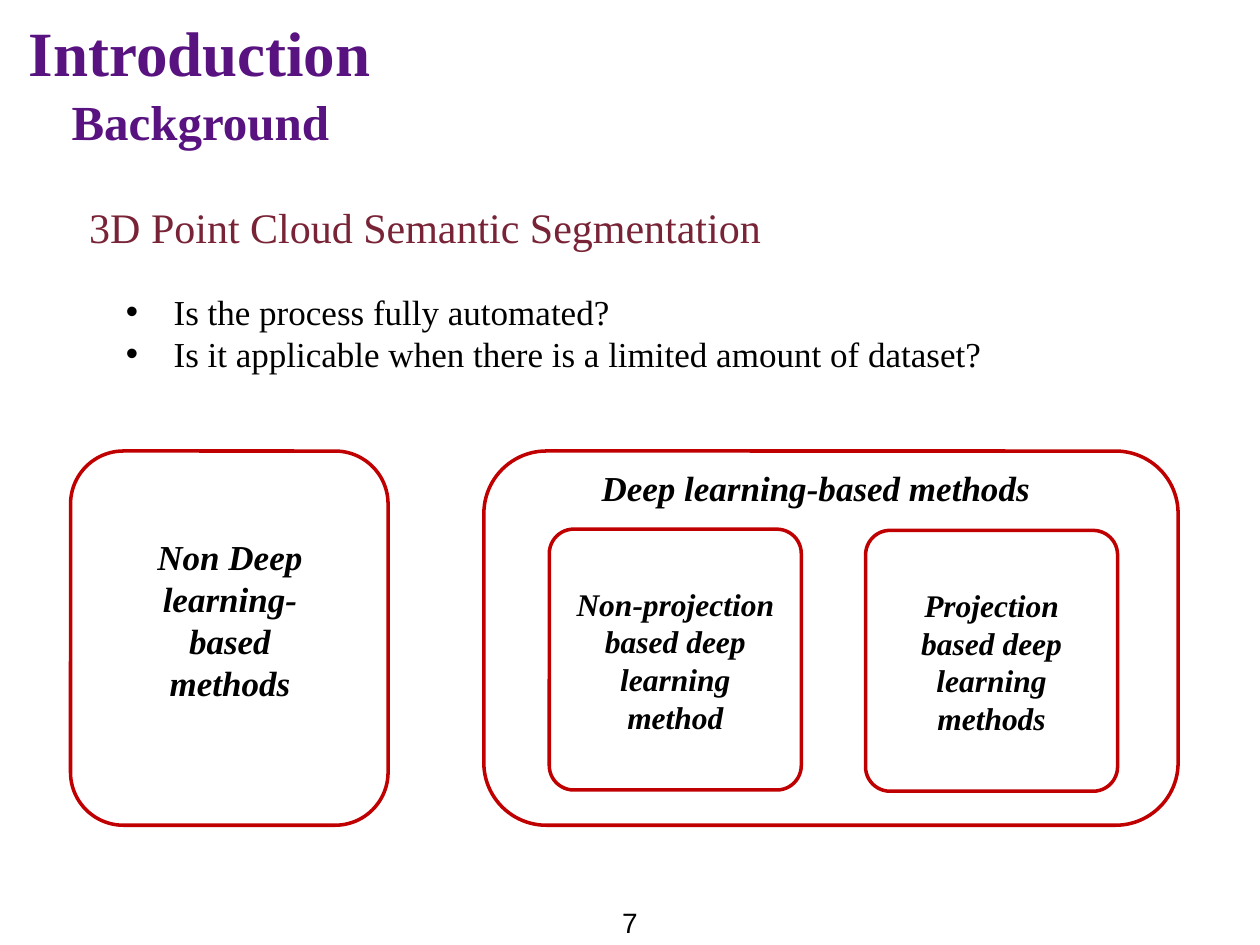
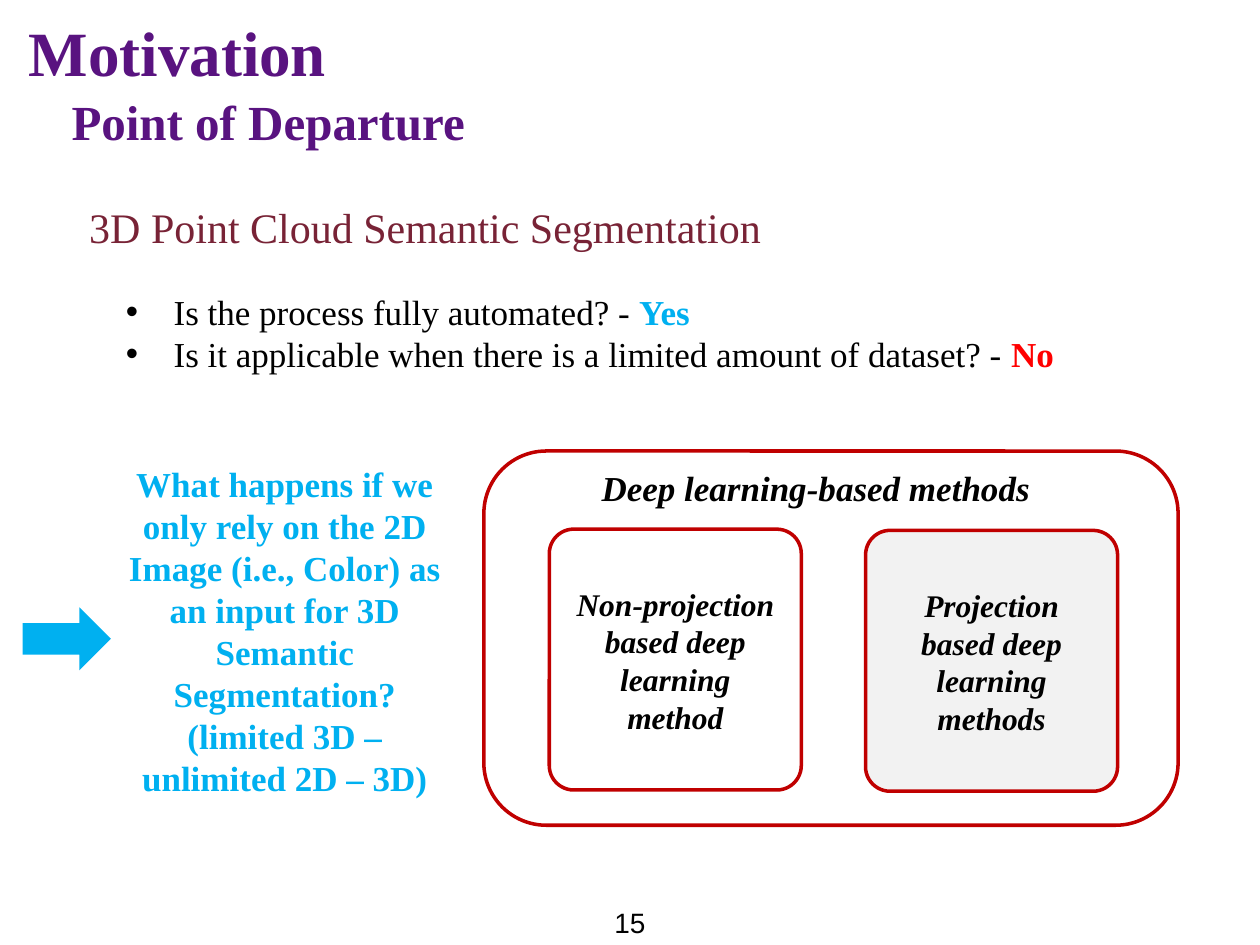
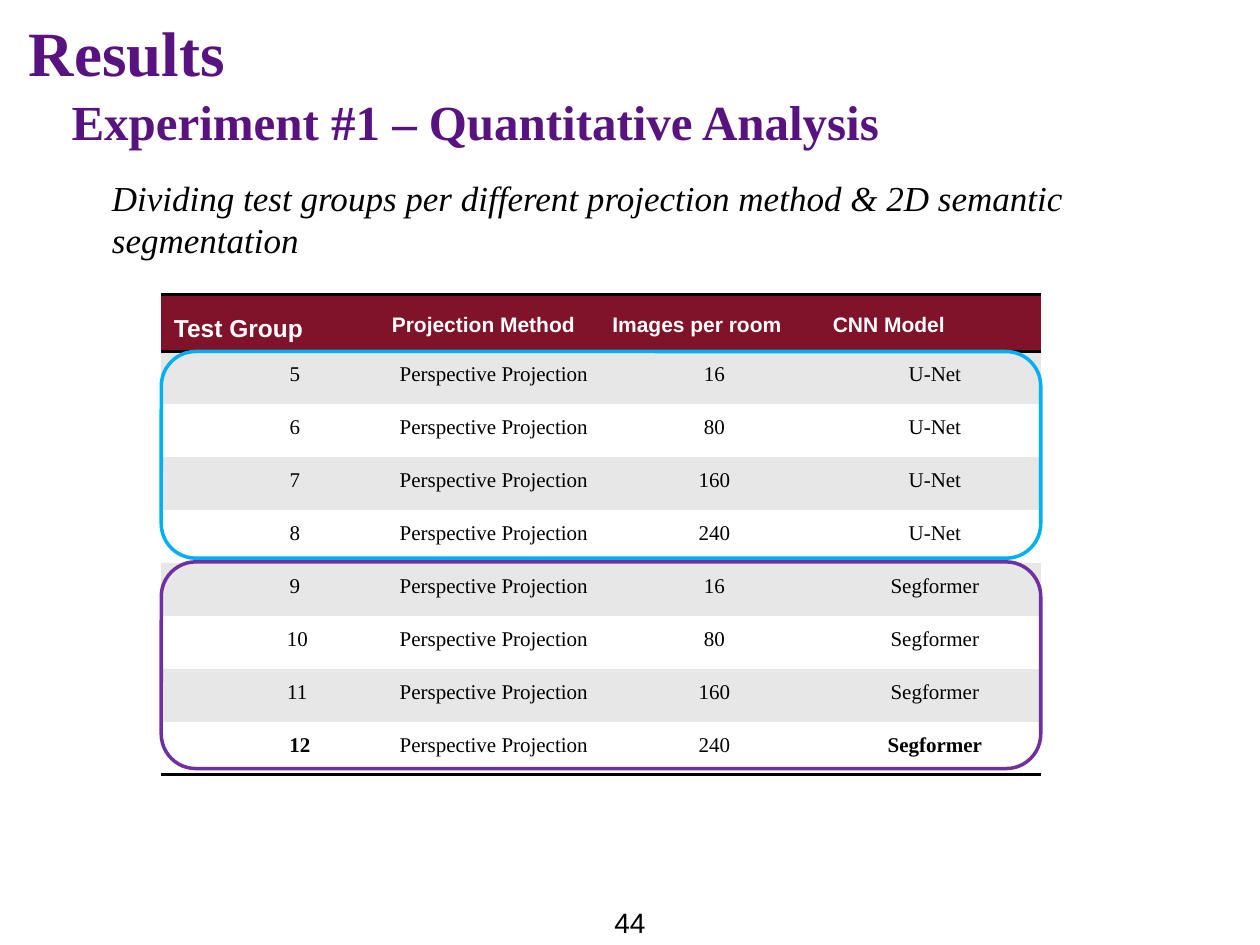
from lxml.etree import SubElement
from pptx import Presentation
from pptx.dml.color import RGBColor
from pptx.enum.shapes import MSO_SHAPE
from pptx.enum.text import PP_ALIGN
from pptx.oxml.ns import qn
from pptx.util import Inches, Pt

COLORS = {
    "purple": "591380", "maroon": "782336", "black": "000000", "white": "FFFFFF",
    "box": "C00000", "shade": "F2F2F2", "blue": "00B0F0", "red": "FF0000",
    "violet": "7030A0", "header": "801329", "band": "E7E7E7",
}
SERIF, SANS = "Times New Roman", "Arial"
CENTER, JUSTIFY = PP_ALIGN.CENTER, PP_ALIGN.JUSTIFY

TOPIC = "3D Point Cloud Semantic Segmentation"
QUESTIONS = ["Is the process fully automated?",
             "Is it applicable when there is a limited amount of dataset?"]
ANSWERS = [("Yes", "blue"), ("No", "red")]
IDEA = ["What happens if we only rely on the 2D Image (i.e., Color) as an input "
        "for 3D Semantic Segmentation?",
        "(limited 3D – unlimited 2D – 3D)"]

HEADERS = ["Test Group", "Projection Method", "Images per room", "CNN Model"]
METHOD = "Perspective Projection"
IMAGES_PER_ROOM = [16, 80, 160, 240]
MODELS = [("U-Net", "blue"), ("Segformer", "violet")]
FIRST_GROUP, BEST_GROUP = 5, 12
COL_WIDTHS = [1.73, 1.75, 1.75, 1.75]
TABLE_LEFT, TABLE_TOP = 1.28, 2.34
HEADER_H, ROW_H = 0.43, 0.42


def rgb(name):
    return RGBColor.from_string(COLORS[name])


def style(font, size, color="black", bold=False, italic=False, name=SERIF):
    font.size, font.name = Pt(size), name
    font.bold, font.italic = bold, italic
    font.color.rgb = rgb(color)


def add_text(s, box, paragraphs, size, align=None, bullet=False, **look):
    """Each paragraph is a string or a list of (text, style changes) runs."""
    tf = s.shapes.add_textbox(*map(Inches, box)).text_frame
    tf.word_wrap = True
    for i, runs in enumerate(paragraphs):
        p = tf.paragraphs[0] if i == 0 else tf.add_paragraph()
        p.alignment = align
        if bullet:
            add_bullet(p)
        for text, changes in [(runs, {})] if isinstance(runs, str) else runs:
            r = p.add_run()
            r.text = text
            style(r.font, size, **{**look, **changes})


def add_bullet(p, indent=0.38):
    pPr = p._p.get_or_add_pPr()
    pPr.set("marL", str(Inches(indent)))
    pPr.set("indent", str(-Inches(indent)))
    color = SubElement(pPr, qn("a:buClr"))
    SubElement(color, qn("a:srgbClr"), val=COLORS["black"])
    SubElement(pPr, qn("a:buFont"), typeface=SANS)
    SubElement(pPr, qn("a:buChar"), char="•")


def add_box(s, box, line="box", fill=None, round_by=0.167):
    sp = s.shapes.add_shape(MSO_SHAPE.ROUNDED_RECTANGLE, *map(Inches, box))
    sp.shadow.inherit = False
    sp.adjustments[0] = round_by
    sp.line.color.rgb = rgb(line)
    sp.line.width = Pt(2)
    if fill:
        sp.fill.solid()
        sp.fill.fore_color.rgb = rgb(fill)
    else:
        sp.fill.background()


def add_slide(prs, title, subtitle, number):
    s = prs.slides.add_slide(prs.slide_layouts[6])
    add_text(s, (0.13, 0.06, 8.74, 0.58), [title], 36, color="purple", bold=True)
    add_text(s, (0.47, 0.68, 8.74, 0.58), [subtitle], 28, color="purple", bold=True)
    add_text(s, (4.37, 7.14, 1.26, 0.36), [str(number)], 16, CENTER, name=SANS)
    return s


def add_topic(s, questions):
    add_text(s, (0.61, 1.55, 9.13, 0.5), [TOPIC], 24, JUSTIFY, color="maroon")
    add_text(s, (0.9, 2.26, 7.97, 0.76), questions, 20, bullet=True)


def add_deep_learning(s, projection_fill=None):
    label = dict(align=CENTER, bold=True, italic=True)
    add_box(s, (3.84, 3.58, 5.51, 2.97))
    add_text(s, (3.84, 3.65, 5.27, 0.56), ["Deep learning-based methods"], 20, **label)
    for left, top, text, fill in [
            (4.36, 4.2, "Non-projection based deep learning method", None),
            (6.87, 4.21, "Projection based deep learning methods", projection_fill)]:
        add_box(s, (left, top, 2, 2.07), fill=fill, round_by=0.097)
        add_text(s, (left + 0.09, top + 0.39, 1.82, 0.92), [text], 18, **label)


def add_border(cell, side):
    ln = SubElement(cell._tc.get_or_add_tcPr(), qn(f"a:{side}"), w=str(Pt(2)))
    fill = SubElement(ln, qn("a:solidFill"))
    SubElement(fill, qn("a:srgbClr"), val=COLORS["black"])


def set_cell(cell, text, fill, size, borders=(), align=None, indent=0, **look):
    for side in borders:
        add_border(cell, side)
    cell.fill.solid()
    cell.fill.fore_color.rgb = rgb(fill)
    p = cell.text_frame.paragraphs[0]
    p.text = str(text)
    p.alignment, p.line_spacing = align, 1.5
    p._p.get_or_add_pPr().set("marL", str(Inches(indent)))
    style(p.runs[0].font, size, **look)


def group_indent(group):
    if group == BEST_GROUP:
        return 0.47
    return 0.39 if group < 10 else 0.43


def add_test_groups(s):
    rows = [(METHOD, n, model) for model, _ in MODELS for n in IMAGES_PER_ROOM]
    height = HEADER_H + ROW_H * len(rows)
    table = s.shapes.add_table(
        len(rows) + 1, len(HEADERS), Inches(TABLE_LEFT), Inches(TABLE_TOP),
        Inches(sum(COL_WIDTHS)), Inches(height)).table
    no_style = "{2D5ABB26-0587-4C30-8999-92F81FD0307C}"
    table._tbl.tblPr.find(qn("a:tableStyleId")).text = no_style
    table.first_row = table.horz_banding = False
    for c, (width, text) in enumerate(zip(COL_WIDTHS, HEADERS)):
        table.columns[c].width = Inches(width)
        set_cell(table.cell(0, c), text, "header", 12 if c else 14,
                 ("lnT", "lnB"), color="white", bold=True, name=SANS)
    table.rows[0].height = Inches(HEADER_H)
    for r, row in enumerate(rows, 1):
        table.rows[r].height = Inches(ROW_H)
        group = FIRST_GROUP + r - 1
        for c, value in enumerate((group, *row)):
            cell = table.cell(r, c)
            cell.margin_left = cell.margin_right = 0
            cell.margin_top = cell.margin_bottom = 0
            set_cell(cell, value, "band" if r % 2 else "white", 12,
                     ("lnB",) if r == len(rows) else (), CENTER,
                     0.07 if c else group_indent(group),
                     bold=group == BEST_GROUP and c in (0, 3))
    for i, (_, color) in enumerate(MODELS):
        add_box(s, (TABLE_LEFT, 2.79 + 1.67 * i, sum(COL_WIDTHS), 1.64), color)


def background_slide(prs):
    s = add_slide(prs, "Introduction", "Background", 7)
    add_topic(s, QUESTIONS)
    add_box(s, (0.56, 3.58, 2.52, 2.97))
    add_text(s, (0.9, 4.2, 1.85, 1.73), ["Non Deep learning-based methods"], 20,
             CENTER, bold=True, italic=True)
    add_deep_learning(s)


def departure_slide(prs):
    s = add_slide(prs, "Motivation", "Point of Departure", 15)
    add_topic(s, [[(f"{question} - ", {}), (answer, dict(color=color, bold=True))]
                  for question, (answer, color) in zip(QUESTIONS, ANSWERS)])
    add_deep_learning(s, projection_fill="shade")
    arrow = s.shapes.add_shape(MSO_SHAPE.RIGHT_ARROW, *map(Inches, (0.18, 4.82, 0.7, 0.5)))
    arrow.shadow.inherit = False
    arrow.fill.solid()
    arrow.fill.fore_color.rgb = rgb("blue")
    arrow.line.fill.background()
    add_text(s, (0.9, 3.62, 2.72, 2.77), IDEA, 20, CENTER, color="blue", bold=True)


def results_slide(prs):
    s = add_slide(prs, "Results", "Experiment #1 – Quantitative Analysis", 44)
    add_text(s, (0.79, 1.35, 8.64, 0.76),
             ["Dividing test groups per different projection method "
              "& 2D semantic segmentation"], 20, italic=True)
    add_test_groups(s)


def main():
    prs = Presentation()
    prs.slide_width, prs.slide_height = Inches(10), Inches(7.5)
    background_slide(prs)
    departure_slide(prs)
    results_slide(prs)
    prs.save("out.pptx")


if __name__ == "__main__":
    main()
